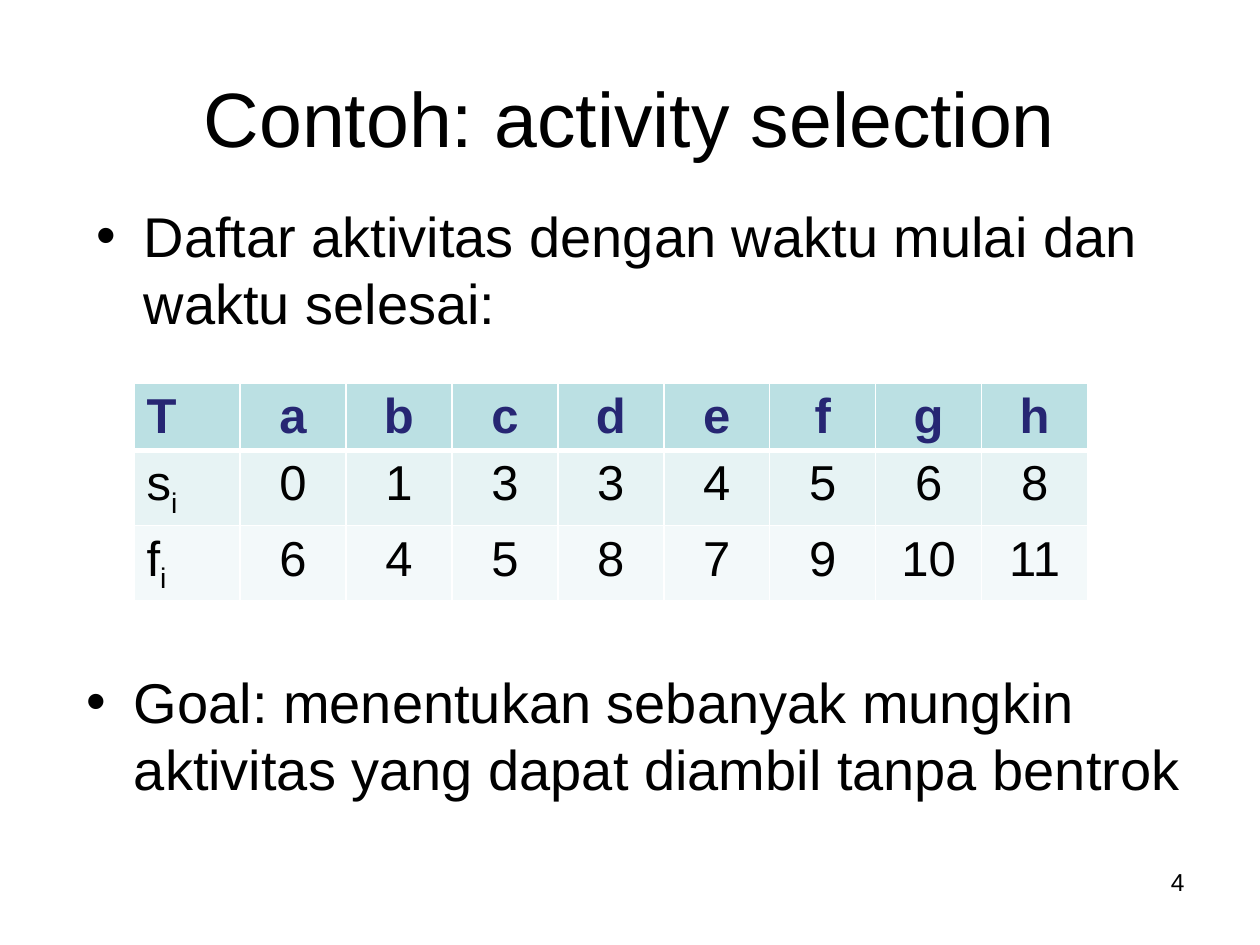
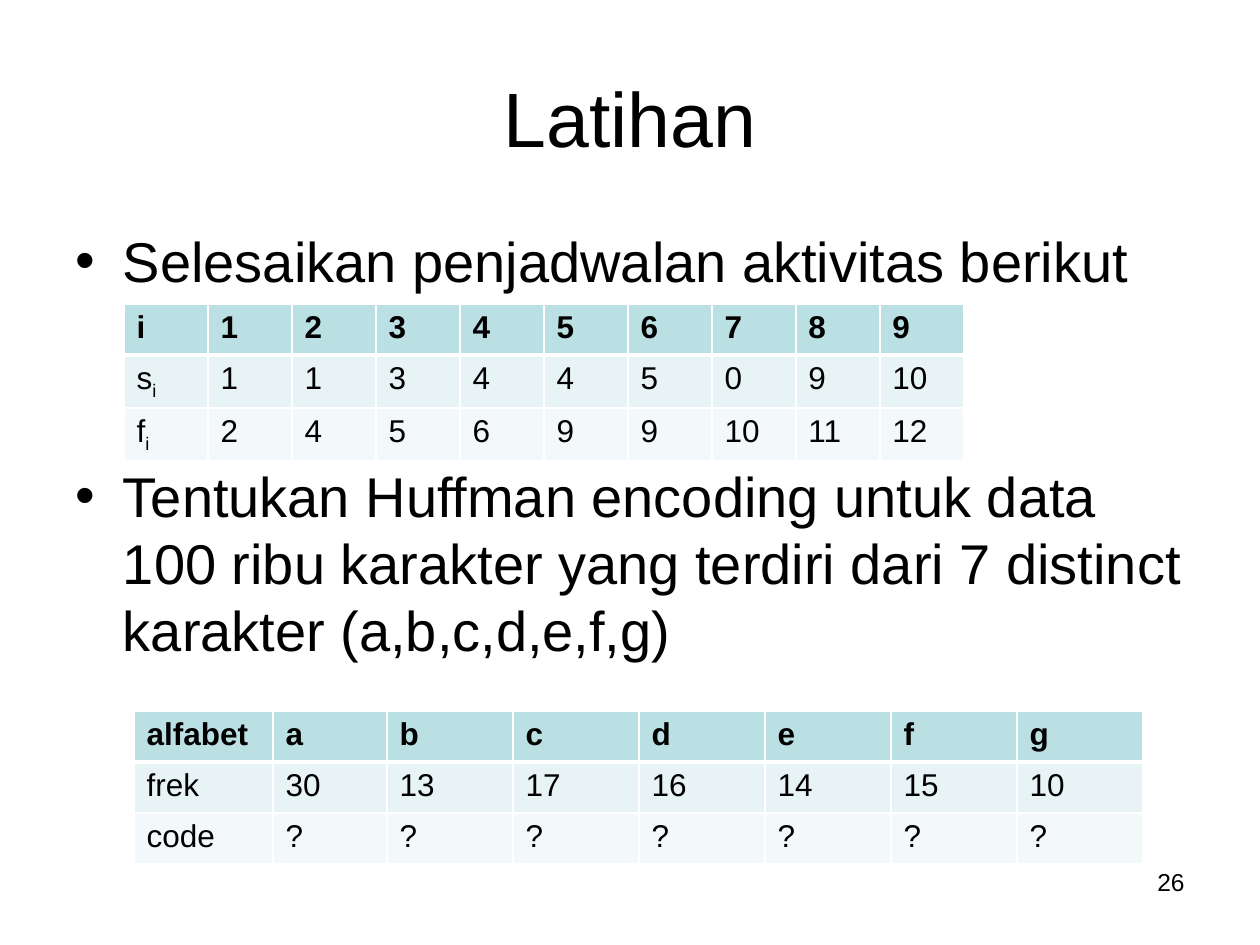
import pptx
import pptx.dml.color
import pptx.enum.text
import pptx.oxml
import pptx.oxml.ns
import pptx.util

FONT = "Arial"
INK = {"text": "000000", "head": "262673", "line": "FFFFFF"}
FILLS = ["BBE0E3", "E7F3F4", "F3F9FA"]
ALIGN = pptx.enum.text.PP_ALIGN
ANCHOR = pptx.enum.text.MSO_ANCHOR

TITLE_BOX = (63, 38, 1134, 157)
PAGE_BOX = (903, 861, 294, 66)
LEAD = 1.2  # line pitch as a share of the text size

SLIDES = [
    {
        "title": "Contoh: activity selection",
        "page": "4",
        "layout": 3,
        "lists": [
            {"box": (84, 195, 1134, 624),
             "items": ["Daftar aktivitas dengan waktu mulai dan waktu selesai:"]},
            {"box": (74, 661, 1134, 475),
             "items": ["Goal: menentukan sebanyak mungkin aktivitas yang "
                       "dapat diambil tanpa bentrok"]},
        ],
        "tables": [
            {"at": (134, 383), "cols": [106] * 9, "rows": [66, 74, 74],
             "size": 28, "head": "head", "align": ALIGN.CENTER,
             "cells": ["T a b c d e f g h",
                       "s_i 0 1 3 3 4 5 6 8",
                       "f_i 6 4 5 8 7 9 10 11"]},
        ],
    },
    {
        "title": "Latihan",
        "page": "26",
        "layout": 1,
        "lists": [
            {"box": (63, 220, 1134, 624), "gap": 96,
             "items": ["Selesaikan penjadwalan aktivitas berikut",
                       "Tentukan Huffman encoding untuk data 100 ribu karakter "
                       "yang terdiri dari 7 distinct karakter (a,b,c,d,e,f,g)"]},
        ],
        "tables": [
            {"at": (124, 304), "cols": [84] * 10, "rows": [51] * 3,
             "cells": ["i 1 2 3 4 5 6 7 8 9",
                       "s_i 1 1 3 4 4 5 0 9 10",
                       "f_i 2 4 5 6 9 9 10 11 12"]},
            {"at": (134, 711), "cols": [139, 114] + [126] * 6, "rows": [51] * 3,
             "cells": ["alfabet a b c d e f g",
                       "frek 30 13 17 16 14 15 10",
                       "code ? ? ? ? ? ? ?"]},
        ],
    },
]


def px(count):
    return round(count * 914400 / 126)


def place(shape, box):
    shape.left, shape.top, shape.width, shape.height = map(px, box)


def write(para, text, size=18, color="text", bold=False, align=ALIGN.LEFT,
          lead=None, before=0):
    """Fill a paragraph; what follows an underscore is set as a subscript."""
    para.alignment = align
    para.space_before = pptx.util.Pt(before)
    if lead:
        para.line_spacing = pptx.util.Pt(size * lead)
    for order, part in enumerate(text.split("_")):
        run = para.add_run()
        run.text = part
        run.font.name = FONT
        run.font.size = pptx.util.Pt(size)
        run.font.bold = bold
        run.font.color.rgb = pptx.dml.color.RGBColor.from_string(INK[color])
        if order:
            run.font._element.set("baseline", "-25000")


def frame(shape, box, anchor=ANCHOR.TOP):
    place(shape, box)
    text = shape.text_frame
    text.word_wrap = True
    text.auto_size = pptx.enum.text.MSO_AUTO_SIZE.NONE
    text.vertical_anchor = anchor
    return text


def add_list(shape, box, items, gap=0):
    text = frame(shape, box)
    for order, item in enumerate(items):
        para = text.add_paragraph() if order else text.paragraphs[0]
        write(para, item, size=32, lead=LEAD, before=gap if order else 0)


def edge(cell, row):
    """Draw white cell borders, thick between the header and the first row."""
    thick = {0: "B", 1: "T"}.get(row)
    for side in "LRTB":
        width = pptx.util.Pt(3 if side == thick else 1)
        cell._tc.get_or_add_tcPr().append(pptx.oxml.parse_xml(
            f'<a:ln{side} {pptx.oxml.ns.nsdecls("a")} w="{width}"><a:solidFill>'
            f'<a:srgbClr val="{INK["line"]}"/></a:solidFill></a:ln{side}>'))


def add_grid(slide, at, cols, rows, cells, size=18, head="text", align=ALIGN.LEFT):
    box = (*at, sum(cols), sum(rows))
    grid = slide.shapes.add_table(len(rows), len(cols), *map(px, box)).table
    for col, width in zip(grid.columns, cols):
        col.width = px(width)
    for r, line in enumerate(cells):
        grid.rows[r].height = px(rows[r])
        for c, text in enumerate(line.split()):
            cell = grid.cell(r, c)
            edge(cell, r)
            cell.fill.solid()
            cell.fill.fore_color.rgb = pptx.dml.color.RGBColor.from_string(FILLS[r])
            write(cell.text_frame.paragraphs[0], text, size=size, bold=r == 0,
                  color="text" if r else head, align=align if c else ALIGN.LEFT)


def add_slide(deck, data):
    slide = deck.slides.add_slide(deck.slide_layouts[data["layout"]])
    title, *bodies = slide.placeholders
    text = frame(title, TITLE_BOX, ANCHOR.MIDDLE)
    write(text.paragraphs[0], data["title"], size=44, align=ALIGN.CENTER, lead=LEAD)
    for body, part in zip(bodies, data["lists"]):
        add_list(body, **part)
    page = slide.shapes.add_textbox(0, 0, 0, 0)
    text = frame(page, PAGE_BOX)
    write(text.paragraphs[0], data["page"], size=14, align=ALIGN.RIGHT, lead=LEAD)
    for part in data["tables"]:
        add_grid(slide, **part)


def main():
    deck = pptx.Presentation()
    deck.slide_width, deck.slide_height = px(1260), px(945)
    for data in SLIDES:
        add_slide(deck, data)
    deck.save("out.pptx")


if __name__ == "__main__":
    main()
